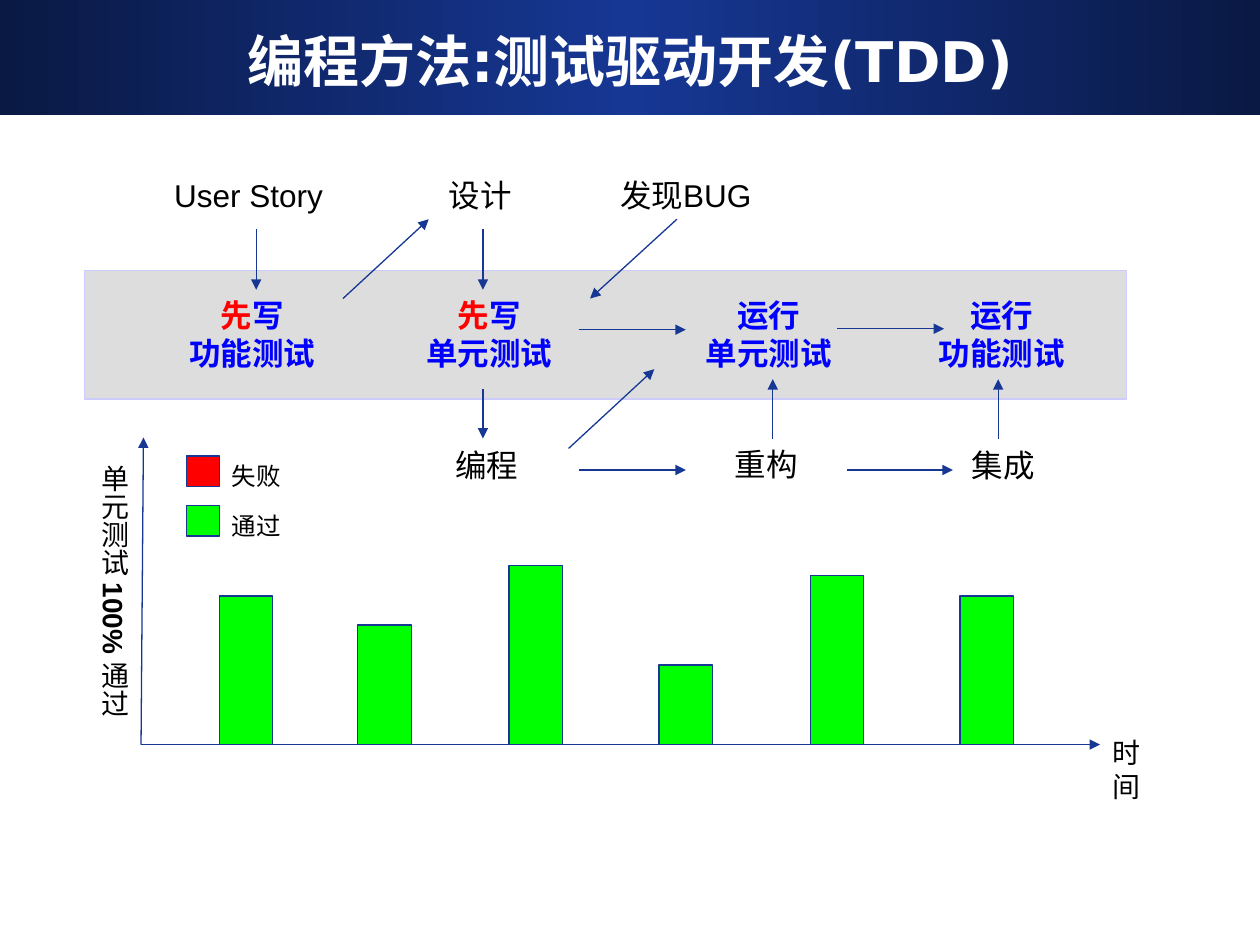
from copy import deepcopy

from lxml import etree
from pptx import Presentation
from pptx.dml.color import RGBColor
from pptx.enum import shapes, text
from pptx.oxml import ns
from pptx.util import Pt

COLORS = {
    "navy": "0A1944", "blue": "163794", "white": "FFFFFF", "black": "000000",
    "red": "FF0000", "green": "00FF00", "label": "0000FF",
    "band": "DDDDDD", "band_edge": "CCCCFF",
}


def color(name):
    return RGBColor.from_string(COLORS[name])


def add_text(page, lines, left, top, width, height, size=18, font="Arial",
             align="CENTER", tint="black", bold=False, vertical=False,
             margins=(7.2, 3.6), anchor="TOP"):
    """Each line is a list of strings or (string, overrides) pairs."""
    box = page.shapes.add_textbox(Pt(left), Pt(top), Pt(width), Pt(height))
    frame = box.text_frame
    frame.word_wrap = False
    frame.vertical_anchor = getattr(text.MSO_ANCHOR, anchor)
    frame.margin_left = frame.margin_right = Pt(margins[0])
    frame.margin_top = frame.margin_bottom = Pt(margins[1])
    if vertical:
        frame._txBody.bodyPr.set("vert", "eaVert")
    for index, line in enumerate(lines):
        para = frame.paragraphs[0] if index == 0 else frame.add_paragraph()
        para.alignment = getattr(text.PP_ALIGN, align)
        for part in line:
            words, changes = part if isinstance(part, tuple) else (part, {})
            span = para.add_run()
            span.text = words
            span.font.name = font
            span.font.size = Pt(size)
            span.font.bold = changes.get("bold", bold)
            span.font.color.rgb = color(changes.get("tint", tint))
    return box


def add_rect(page, left, top, width, height, fill, edge="blue"):
    rect = page.shapes.add_shape(shapes.MSO_SHAPE.RECTANGLE,
                                 Pt(left), Pt(top), Pt(width), Pt(height))
    rect.shadow.inherit = False
    rect.fill.solid()
    rect.fill.fore_color.rgb = color(fill)
    rect.line.color.rgb = color(edge)
    rect.line.width = Pt(0.75)
    return rect


def add_arrow(page, x1, y1, x2, y2):
    arrow = page.shapes.add_connector(shapes.MSO_CONNECTOR.STRAIGHT,
                                      Pt(x1), Pt(y1), Pt(x2), Pt(y2))
    arrow.line.color.rgb = color("blue")
    arrow.line.width = Pt(0.75)
    etree.SubElement(arrow.line._get_or_add_ln(), ns.qn("a:tailEnd"), type="triangle")
    etree.SubElement(arrow._element.spPr, ns.qn("a:effectLst"))


def add_title(page, left, top, width, height):
    # Banner that is dark at both ends and lighter in the middle
    banner = add_rect(page, left, top, width, height, "navy")
    banner.line.fill.background()
    banner.fill.gradient()
    banner.fill.gradient_angle = 0
    stops = banner.fill.gradient_stops
    for stop, name in zip(stops, ("navy", "blue")):
        stop.color.rgb = color(name)
    stops[0].position, stops[1].position = 0, 0.5
    stop_list = banner._element.spPr.find(".//" + ns.qn("a:gsLst"))
    last = deepcopy(stop_list[0])
    last.set("pos", "100000")
    stop_list.append(last)

    add_text(page, [["编程方法:测试驱动开发(TDD)"]], left + 27, top + 12, width - 54, 45,
             size=32, font="DejaVu Sans", tint="white", bold=True, anchor="MIDDLE")


def add_flow(page, left, top, width):
    # Grey band behind the test steps
    add_rect(page, left, top + 57.6, width, 73.4, "band", "band_edge")

    # Activities above and below the band: centre, top, width
    for words, center, y, box_width in (
            ("User Story", 93.8, 0.2, 99.4), ("设计", 226.3, 0.2, 50.4),
            ("发现BUG", 343.7, 0.2, 93.6), ("编程", 229.9, 154.3, 50.4),
            ("重构", 389.8, 153.6, 50.4), ("集成", 525.1, 154.3, 50.4)):
        add_text(page, [[words]], left + center - box_width / 2, top + y, box_width, 28.8)

    # Test steps inside the band
    write_first = [("先", {"tint": "red"}), "写"]
    for first, second, center in (
            (write_first, "功能测试", 96), (write_first, "单元测试", 231.4),
            (["运行"], "单元测试", 391.2), (["运行"], "功能测试", 524.4)):
        add_text(page, [first, [second]], left + center - 43.2, top + 68.6, 86.4, 50.4,
                 tint="label", bold=True)

    # Arrows between the steps
    for x1, y1, x2, y2 in (
            (98.2, 34, 98.2, 68.6), (227.8, 34, 227.8, 68.6),
            (227.8, 125.5, 227.8, 153.6),
            (393.4, 153.6, 393.4, 119.7), (522.2, 153.6, 522.2, 119.7),
            (282.5, 171.6, 343.7, 171.6), (435.8, 171.6, 496.3, 171.6),
            (282.5, 91.4, 343.7, 91.4), (430.1, 90.9, 491.3, 90.9),
            (147.8, 73.6, 196.8, 28.3), (338.6, 28.3, 289, 73.6),
            (276.7, 159.3, 325.7, 114)):
        add_arrow(page, left + x1, top + y1, left + x2, top + y2)


def add_history(page, left, top, width, height):
    base = top + height
    # Axes
    add_arrow(page, left + 35.6, base, left + 37, top)
    add_arrow(page, left + 35.6, base, left + width, base)

    # Bars of passing tests
    for x, bar_height in ((80.3, 85), (159.5, 68.4), (245.9, 102.2),
                          (331.6, 45.4), (418, 96.5), (503.6, 85)):
        add_rect(page, left + x, base - bar_height, 30.6, bar_height, "green")

    # Legend
    for row, (words, fill) in enumerate((("失败", "red"), ("通过", "green"))):
        y = top + 10.6 + row * 28.4
        add_rect(page, left + 61.6, y, 18.7, 17.3, fill)
        add_text(page, [[words]], left + 80.3, y - 0.7, 42.5, 24.5, size=14, align="LEFT")

    # Axis labels
    add_text(page, [["时间"]], left + width, base - 8.6, 46, 26.6, size=16, align="LEFT")
    add_text(page, [["单元测试 ", ("100% ", {"bold": True}), "通过"]],
             left + 0.4, top + 8.5, 33, 159.8, size=16, align="LEFT",
             vertical=True, margins=(3.6, 7.2))


def main():
    deck = Presentation()
    deck.slide_width, deck.slide_height = Pt(720), Pt(540)
    page = deck.slides.add_slide(deck.slide_layouts[6])
    add_title(page, 0, 0, 720, 65.5)
    add_history(page, 45, 250, 583.6, 175.5)
    add_flow(page, 48.2, 97, 595.4)
    deck.save("out.pptx")


if __name__ == "__main__":
    main()
